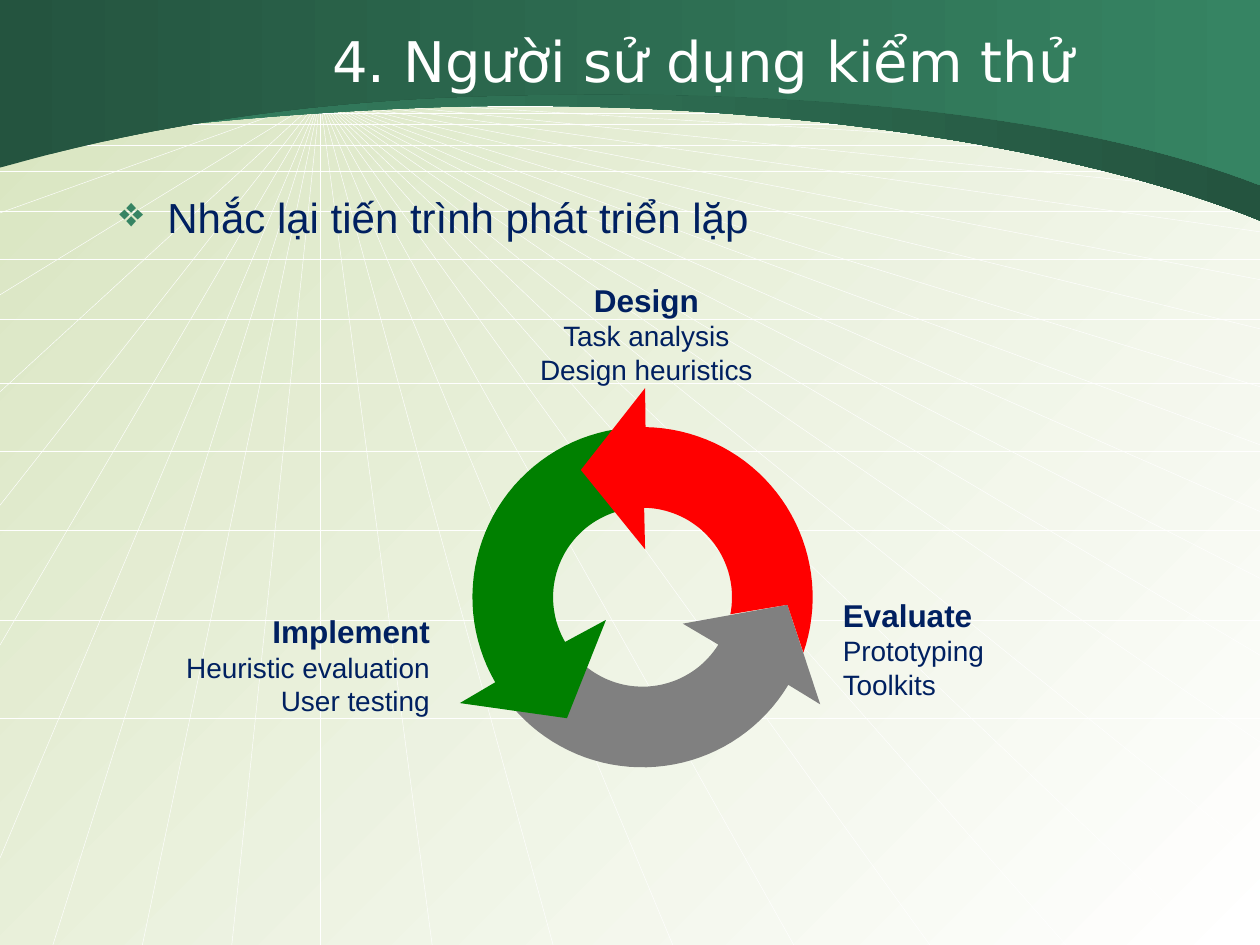
from math import cos, sin, radians
from lxml.etree import SubElement
from pptx import Presentation
from pptx.dml.color import RGBColor
from pptx.enum.shapes import MSO_CONNECTOR as Link
from pptx.enum.text import MSO_ANCHOR as Anchor, PP_ALIGN as Align
from pptx.oxml.ns import qn
from pptx.util import Pt

PX = 9144
WIDE, HIGH = 1000, 750
NAVY, GREEN, DARK, WHITE = "002060", "368463", "24543F", "FFFFFF"


def px(n):
    return round(n * PX)


def tint(color, code):
    color.rgb = RGBColor.from_string(code)


def blend(fill, first, last, angle):
    fill.gradient()
    fill.gradient_angle = angle
    for stop, code in zip(fill.gradient_stops, (first, last)):
        tint(stop.color, code)


def ray(slide, x1, y1, x2, y2):
    line = slide.shapes.add_connector(Link.STRAIGHT, px(x1), px(y1), px(x2), px(y2))
    tint(line.line.color, WHITE)
    line.line.width = Pt(0.25)
    SubElement(line._element.spPr, qn("a:effectLst"))


def outline(slide, x, y, points):
    spots = [(px(x + a), px(y + b)) for a, b in points]
    pen = slide.shapes.build_freeform(*spots[0], scale=1.0)
    pen.add_line_segments(spots[1:], close=True)
    shape = pen.convert_to_shape()
    shape.shadow.inherit = False
    shape.line.fill.background()
    return shape


def style(run, size, font, color, bold=False):
    run.font.size = Pt(size)
    run.font.name = font
    run.font.bold = bold
    tint(run.font.color, color)


def box(slide, x, y, w, h, text):
    frame = slide.shapes.add_textbox(px(x), px(y), px(w), px(h)).text_frame
    frame.word_wrap = True
    frame.text = text
    return frame


def grid(slide, x, y, w, h):
    hubx, huby = x + 254, y + 78
    right = (100, 123, 154, 184, 222, 261, 307, 353, 406, 459, 520, 589, 680)
    base = (42, 113, 184, 254, 343, 439, 534, 630, 738, 846, 960)
    left = (78, 97, 116, 169, 234, 311, 401, 512, 681)
    ends = [(w, b) for b in right] + [(a, h) for a in base] + [(0, b) for b in left]
    for a, b in ends:
        ray(slide, hubx, huby, x + a, y + b)
    for b in (84, 90, 99, 115, 136, 168, 206, 253, 304, 358, 421, 492, 570):
        ray(slide, x, y + b, x + w, y + b)


def curve(*knots, steps=40):
    def at(t):
        s = 1 - t
        parts = (s ** 3, 3 * s * s * t, 3 * s * t * t, t ** 3)
        return tuple(sum(p * k[i] for p, k in zip(parts, knots)) for i in (0, 1))
    return [at(n / steps) for n in range(steps + 1)]


def banner(slide, x, y, w):
    back = (curve((0, 119), (11, 118), (133, 93), (347, 85))
            + curve((347, 85), (561, 78), (831, 106), (w, 175)))
    front = (curve((0, 133), (11, 131), (151, 85), (364, 77))
             + curve((364, 77), (577, 69), (831, 81), (w, 147)))
    for edge, first, last in ((back, GREEN, DARK), (front, DARK, GREEN)):
        shape = outline(slide, x, y, [(0, 0)] + edge + [(w, 0)])
        blend(shape.fill, first, last, 0)


def title(slide, x, y, w, h):
    frame = box(slide, x, y, w, h, "4. Người sử dụng kiểm thử")
    frame.vertical_anchor = Anchor.MIDDLE
    para = frame.paragraphs[0]
    para.alignment = Align.CENTER
    style(para.runs[0], 32, "DejaVu Sans", WHITE)


def body(slide, x, y, w, h):
    para = box(slide, x, y, w, h, "Nhắc lại tiến trình phát triển lặp").paragraphs[0]
    para.space_before = Pt(5)
    style(para.runs[0], 24, "Arial", NAVY)
    props = para._p.get_or_add_pPr()
    props.set("marL", str(px(38)))
    props.set("indent", str(px(-38)))
    SubElement(SubElement(props, qn("a:buClr")), qn("a:srgbClr"), val=GREEN)
    SubElement(props, qn("a:buChar"), char="❖")


def label(slide, x, y, w, h, align, text):
    frame = box(slide, x, y, w, h, text)
    for n, para in enumerate(frame.paragraphs):
        para.alignment = align
        style(para.runs[0], 16 if n else 18, "Arial", NAVY, n == 0)


def arc(radius, start, end, steps=36):
    turns = [radians(start + (end - start) * n / steps) for n in range(steps + 1)]
    return [(145 + radius * cos(t), 166 + radius * sin(t)) for t in turns]


def ring(slide, x, y):
    arrows = (
        ("808080", (140, 31), [(286, 251), (260, 172), (177, 187)], (32, 130), []),
        ("008000", (261, 150), [(0, 250), (85, 262), (116, 184)], (150, 253), []),
        ("FF0000", (19, -89), [(147, 0), (96, 65), (147, 128)], (-89, 11), [(260, 172)]),
    )
    for color, outer, head, inner, notch in arrows:
        points = arc(135, *outer) + head + arc(71, *inner) + notch
        shape = outline(slide, x, y, points)
        shape.fill.solid()
        tint(shape.fill.fore_color, color)


def cycle(slide, x, y):
    label(slide, x + 526, y + 250, 225, 154, Align.LEFT,
          "Evaluate\nPrototyping\nToolkits")
    label(slide, x, y + 263, 218, 152, Align.RIGHT,
          "Implement\nHeuristic evaluation\nUser testing")
    label(slide, x + 283, y, 194, 132, Align.CENTER,
          "Design\nTask analysis\nDesign heuristics")
    ring(slide, x + 232, y + 90)


def main():
    deck = Presentation()
    deck.slide_width, deck.slide_height = px(WIDE), px(HIGH)
    slide = deck.slides.add_slide(deck.slide_layouts[6])
    blend(slide.background.fill, "D7E4BE", WHITE, 315)
    grid(slide, 0, 0, WIDE, HIGH)
    banner(slide, 0, 0, WIDE)
    title(slide, 175, 17, 767, 62)
    body(slide, 85, 147, 890, 553)
    cycle(slide, 133, 218)
    deck.save("out.pptx")


if __name__ == "__main__":
    main()
